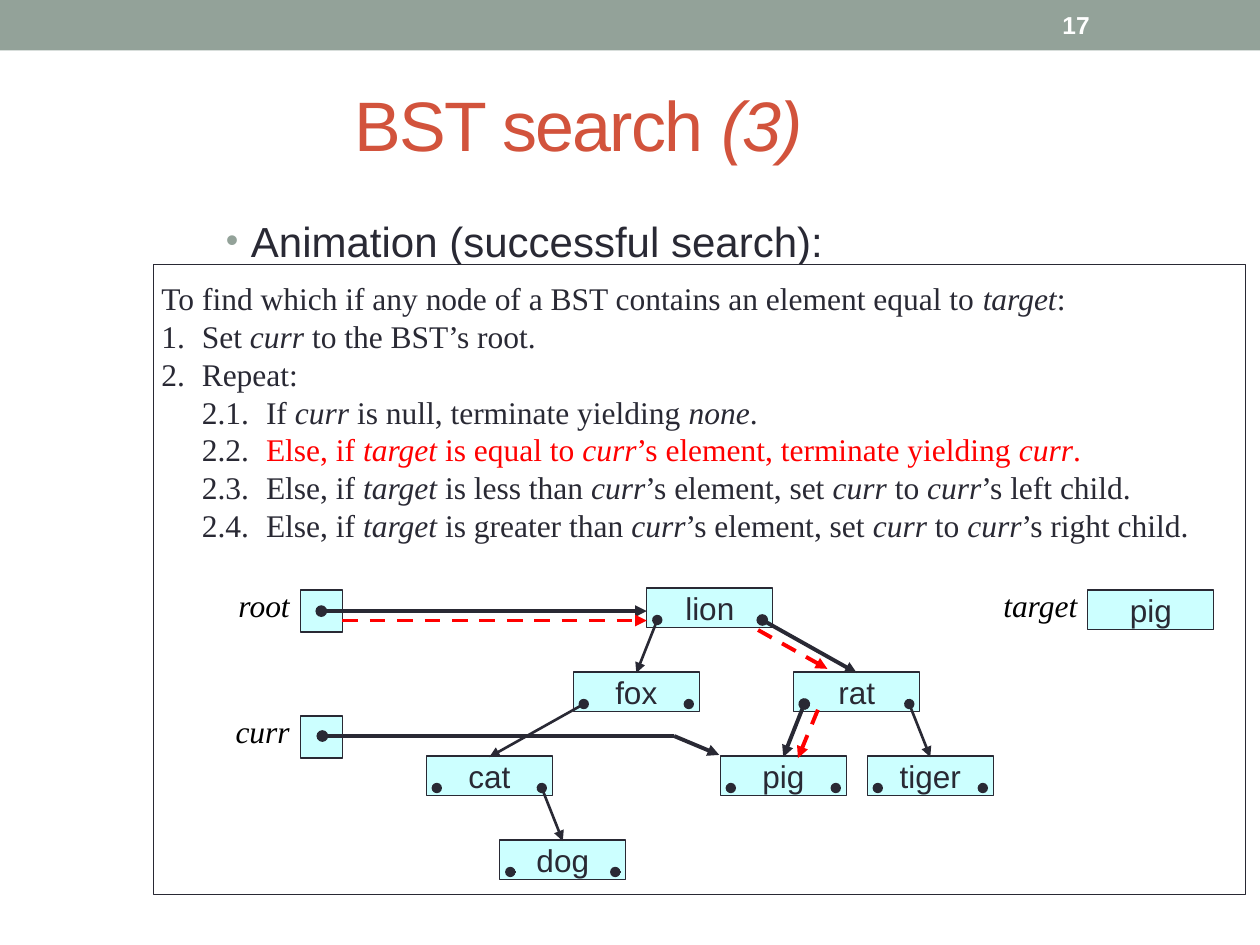
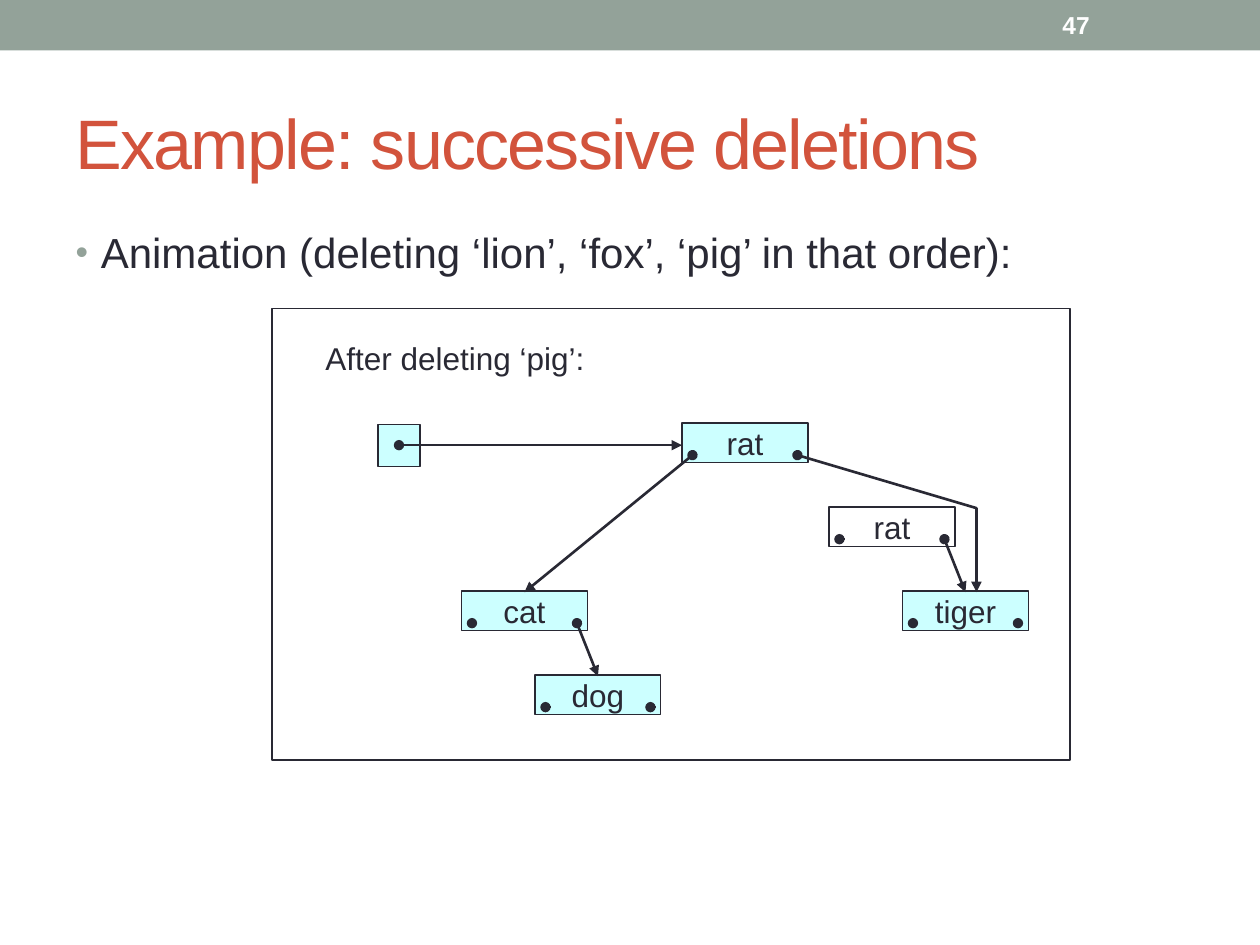
from lxml import etree
from pptx import Presentation
from pptx import util as u
from pptx.dml.color import RGBColor
from pptx.enum import dml, shapes, text
from pptx.oxml.ns import qn

COLORS = {
    "band": "93A299",
    "title": "D2533C",
    "ink": "292934",
    "node": "CCFFFF",
    "paper": "FFFFFF",
    "accent": "FF0000",
    "label": "000000",
}
SANS, SERIF = "Arial", "Times New Roman"
COLUMNS, ROWS = 120, 90
NODE_WIDTH, NODE_HEIGHT = 12, 3.75
NODE_STEP, LEVEL_STEP = 7, 8
CELL = 4
PORTS = {"left": 1, "right": 11}
PORT_DROP = 3.05


def rgb(name):
    return RGBColor.from_string(COLORS[name])


def add_element(parent, tag, **attributes):
    return etree.SubElement(parent, qn(tag), attributes)


def write(paragraph, content, size=18, font=SANS, color="ink", bold=None,
          italic=False, spacing=None, align=None, line=None):
    for index, part in enumerate(content.split("*")):
        if not part:
            continue
        run = paragraph.add_run()
        run.text = part
        run.font.size = u.Pt(size)
        run.font.name = font
        run.font.bold = bold
        run.font.italic = italic or index % 2 == 1
        run.font.color.rgb = rgb(color)
        if spacing:
            run.font._element.set("spc", str(spacing))
    if align:
        paragraph.alignment = align
    if line:
        paragraph.line_spacing = u.Pt(line)


def hang(paragraph, margin, hanging):
    properties = paragraph._p.get_or_add_pPr()
    properties.set("marL", str(u.Inches(margin)))
    properties.set("indent", str(-u.Inches(hanging)))
    return properties


class Deck:
    def __init__(self):
        self.presentation = Presentation()
        self.presentation.slide_width = u.Inches(10)
        self.presentation.slide_height = u.Inches(7.5)
        self.slide = None

    def x(self, columns):
        return round(self.presentation.slide_width * columns / COLUMNS)

    def y(self, rows):
        return round(self.presentation.slide_height * rows / ROWS)

    def area(self, left, top, width, height):
        return self.x(left), self.y(top), self.x(width), self.y(height)

    def start(self, number):
        layout = self.presentation.slide_layouts[1]
        self.slide = self.presentation.slides.add_slide(layout)
        self.box((0, 0, COLUMNS, 4.8), fill="band", line=None)
        frame = self.text_box((100, 0.2, 14, 4.3), inset=None)
        frame.vertical_anchor = text.MSO_ANCHOR.MIDDLE
        write(frame.paragraphs[0], number, size=14, color="paper", bold=True)

    def placeholder(self, index, area):
        shape = self.slide.placeholders[index]
        shape.left, shape.top, shape.width, shape.height = self.area(*area)
        shape.text_frame.auto_size = text.MSO_AUTO_SIZE.NONE
        return shape.text_frame

    def title(self, content, area):
        frame = self.placeholder(0, area)
        frame.vertical_anchor = text.MSO_ANCHOR.MIDDLE
        write(frame.paragraphs[0], content, size=40, color="title",
              spacing=-100, align=text.PP_ALIGN.LEFT)

    def bullet(self, content, area):
        paragraph = self.placeholder(1, area).paragraphs[0]
        write(paragraph, content, size=24)
        paragraph.space_before = u.Pt(4.8)
        properties = hang(paragraph, 0.2, 0.2)
        color = add_element(properties, "a:buClr")
        add_element(color, "a:srgbClr", val=COLORS["band"])
        add_element(properties, "a:buSzPct", val="85000")
        add_element(properties, "a:buFont", typeface=SANS)
        add_element(properties, "a:buChar", char="•")

    def text_box(self, area, inset=0):
        frame = self.slide.shapes.add_textbox(*self.area(*area)).text_frame
        frame.word_wrap = True
        if inset is not None:
            self.set_inset(frame, inset)
        return frame

    def set_inset(self, frame, inset):
        frame.margin_left = frame.margin_right = inset
        frame.margin_top = frame.margin_bottom = inset

    def label(self, content, area, **style):
        write(self.text_box(area).paragraphs[0], content, **style)

    def variable(self, name, right, top, width=6):
        self.label(name, (right - width, top, width, 3), font=SERIF,
                   color="label", italic=True, line=18,
                   align=text.PP_ALIGN.RIGHT)

    def algorithm(self, steps, area, current):
        frame = self.text_box(area, inset=None)
        for index, (number, content) in enumerate(steps):
            paragraph = frame.paragraphs[0] if index == 0 else frame.add_paragraph()
            if number:
                write(paragraph, number + "\t", font=SERIF)
                nested = number.count(".") > 1
                hang(paragraph, *((0.83, 0.51) if nested else (0.32, 0.32)))
            color = "accent" if number == current else "ink"
            write(paragraph, content, font=SERIF, color=color, line=21.6)

    def box(self, area, fill="node", line="ink", content=""):
        shape = self.slide.shapes.add_shape(
            shapes.MSO_SHAPE.RECTANGLE, *self.area(*area))
        shape.shadow.inherit = False
        if fill:
            shape.fill.solid()
            shape.fill.fore_color.rgb = rgb(fill)
        else:
            shape.fill.background()
        if line:
            shape.line.color.rgb = rgb(line)
            shape.line.width = u.Pt(0.75)
        else:
            shape.line.fill.background()
        if content:
            self.set_inset(shape.text_frame, 0)
            write(shape.text_frame.paragraphs[0], content,
                  align=text.PP_ALIGN.CENTER)

    def cell(self, left, top):
        self.box((left, top, CELL, CELL))

    def node(self, content, origin, column, level, fill="node"):
        left = origin[0] + column * NODE_STEP
        top = origin[1] + level * LEVEL_STEP
        self.box((left, top, NODE_WIDTH, NODE_HEIGHT), fill=fill, content=content)
        return left, top

    def stroke(self, shape, color="ink", width=1.5, dashed=False,
               head=None, tail=None):
        shape.line.color.rgb = rgb(color)
        shape.line.width = u.Pt(width)
        if dashed:
            shape.line.dash_style = dml.MSO_LINE.DASH
        properties = shape._element.spPr
        outline = properties.find(qn("a:ln"))
        for tag, kind in (("a:headEnd", head), ("a:tailEnd", tail)):
            if kind:
                add_element(outline, tag, type=kind)
        if properties.find(qn("a:effectLst")) is None:
            add_element(properties, "a:effectLst")

    def arrow(self, start, end, head="oval", tail="triangle", **style):
        connector = self.slide.shapes.add_connector(
            shapes.MSO_CONNECTOR.STRAIGHT,
            self.x(start[0]), self.y(start[1]), self.x(end[0]), self.y(end[1]))
        self.stroke(connector, head=head, tail=tail, **style)

    def trace(self, start, end):
        self.arrow(start, end, head=None, color="accent", width=2.25, dashed=True)

    def bent_arrow(self, *points):
        start, *rest = [(self.x(column), self.y(row)) for column, row in points]
        builder = self.slide.shapes.build_freeform(*start)
        builder.add_line_segments(rest, close=False)
        shape = builder.convert_to_shape()
        shape.fill.background()
        shape.shadow.inherit = False
        self.stroke(shape, head="oval", tail="triangle")

    def port(self, node, side):
        return node[0] + PORTS[side], node[1] + PORT_DROP

    def link(self, parent, side, child, width=1.5):
        end = child[0] + NODE_WIDTH / 2, child[1] + 0.1
        self.arrow(self.port(parent, side), end, width=width)

    def empty_ports(self, node, *sides):
        for side in sides:
            column, row = self.port(node, side)
            self.arrow((column, row), (column + 0.5, row), tail=None)

    def save_as_drawn(self):
        return self.presentation


def draw_search(deck):
    deck.start("17")
    deck.title("BST search *(3)*", (32.6, 7, 80.6, 9.5))
    deck.bullet("Animation (successful search):", (20.3, 19.9, 94.4, 63))
    deck.box((14.6, 25.2, 104, 60), fill="paper")
    steps = [
        ("", "To find which if any node of a BST contains an element equal to *target*:"),
        ("1.", "Set *curr* to the BST’s root."),
        ("2.", "Repeat:"),
        ("2.1.", "If *curr* is null, terminate yielding *none*."),
        ("2.2.", "Else, if *target* is equal to *curr*’s element, terminate yielding *curr*."),
        ("2.3.", "Else, if *target* is less than *curr*’s element, set *curr* to *curr*’s left child."),
        ("2.4.", "Else, if *target* is greater than *curr*’s element, set *curr* to *curr*’s right child."),
    ]
    deck.algorithm(steps, (14.2, 26, 104.4, 26.4), current="2.2.")

    origin = 40.6, 56
    cat = deck.node("cat", origin, 0, 2)
    dog = deck.node("dog", origin, 1, 3)
    fox = deck.node("fox", origin, 2, 1)
    lion = deck.node("lion", origin, 3, 0)
    pig = deck.node("pig", origin, 4, 2)
    rat = deck.node("rat", origin, 5, 1)
    tiger = deck.node("tiger", origin, 6, 2)
    deck.link(lion, "left", fox)
    deck.link(lion, "right", rat, width=2.25)
    deck.link(fox, "left", cat)
    deck.link(cat, "right", dog)
    deck.link(rat, "left", pig, width=2.25)
    deck.link(rat, "right", tiger)
    deck.empty_ports(cat, "left")
    deck.empty_ports(fox, "right")
    for leaf in (dog, pig, tiger):
        deck.empty_ports(leaf, "left", "right")

    for name, top in (("root", 56.2), ("curr", 68.2)):
        deck.variable(name, 27.6, top + 0.2)
        deck.cell(28.6, top)
    deck.arrow((30.6, 58.2), (lion[0], 58.2), width=2.25)
    deck.arrow((30.7, 70.1), (64.2, 70.1), tail=None, width=2.25)
    deck.arrow((64.2, 70.1), (68.5, 71.9), head=None, width=2.25)
    deck.variable("target", 102.6, 56.4, width=9)
    deck.box((103.6, 56.2, NODE_WIDTH, NODE_HEIGHT), content="pig")

    deck.trace((32.6, 59.1), (61.6, 59.1))
    deck.trace((72.2, 60), (78.8, 63.7))
    deck.trace((77.9, 67.6), (76, 72.2))


def draw_deletions(deck):
    deck.start("47")
    deck.title("Example: successive deletions", (6, 7, 108, 13))
    deck.bullet("Animation (deleting ‘lion’, ‘fox’, ‘pig’ in that order):",
                (6, 21, 108, 64))
    deck.box((25.9, 29.4, 76, 43), fill="paper")
    deck.label("After deleting ‘pig’:", (31, 32.3, 31, 3.6))

    origin = 43.95, 40.3
    cat = deck.node("cat", origin, 0, 2)
    dog = deck.node("dog", origin, 1, 3)
    root = deck.node("rat", origin, 3, 0)
    removed = deck.node("rat", origin, 5, 1, fill=None)
    tiger = deck.node("tiger", origin, 6, 2)
    deck.cell(36, 40.4)
    deck.arrow((38, 42.4), (root[0], 42.4))
    deck.link(root, "left", cat)
    deck.link(cat, "right", dog)
    deck.link(removed, "right", tiger)
    deck.empty_ports(cat, "left")
    deck.empty_ports(removed, "left")
    for leaf in (dog, tiger):
        deck.empty_ports(leaf, "left", "right")
    deck.bent_arrow(deck.port(root, "right"), (93, 48.4), (93, 56.4))


deck = Deck()
draw_search(deck)
draw_deletions(deck)
deck.presentation.save("out.pptx")
